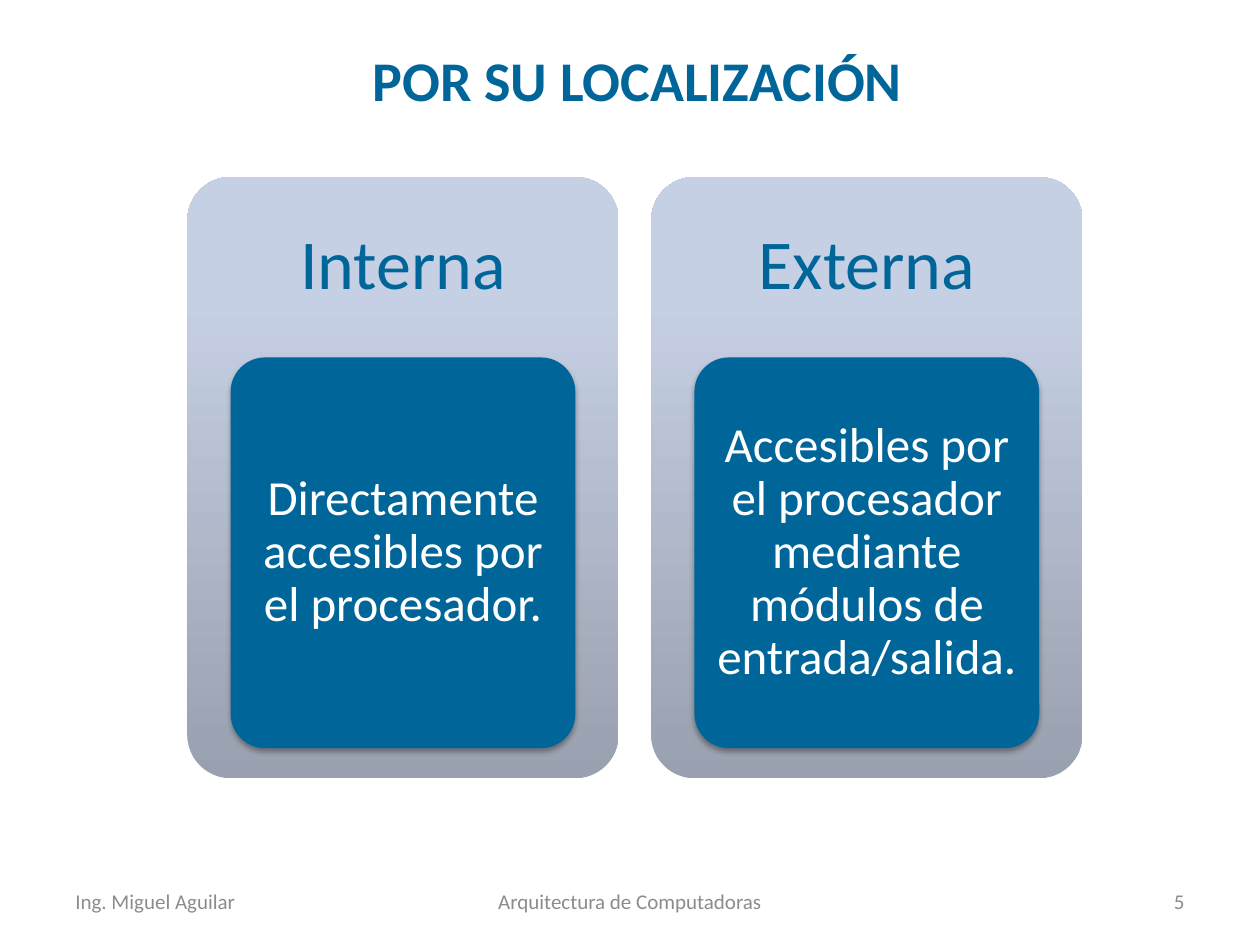
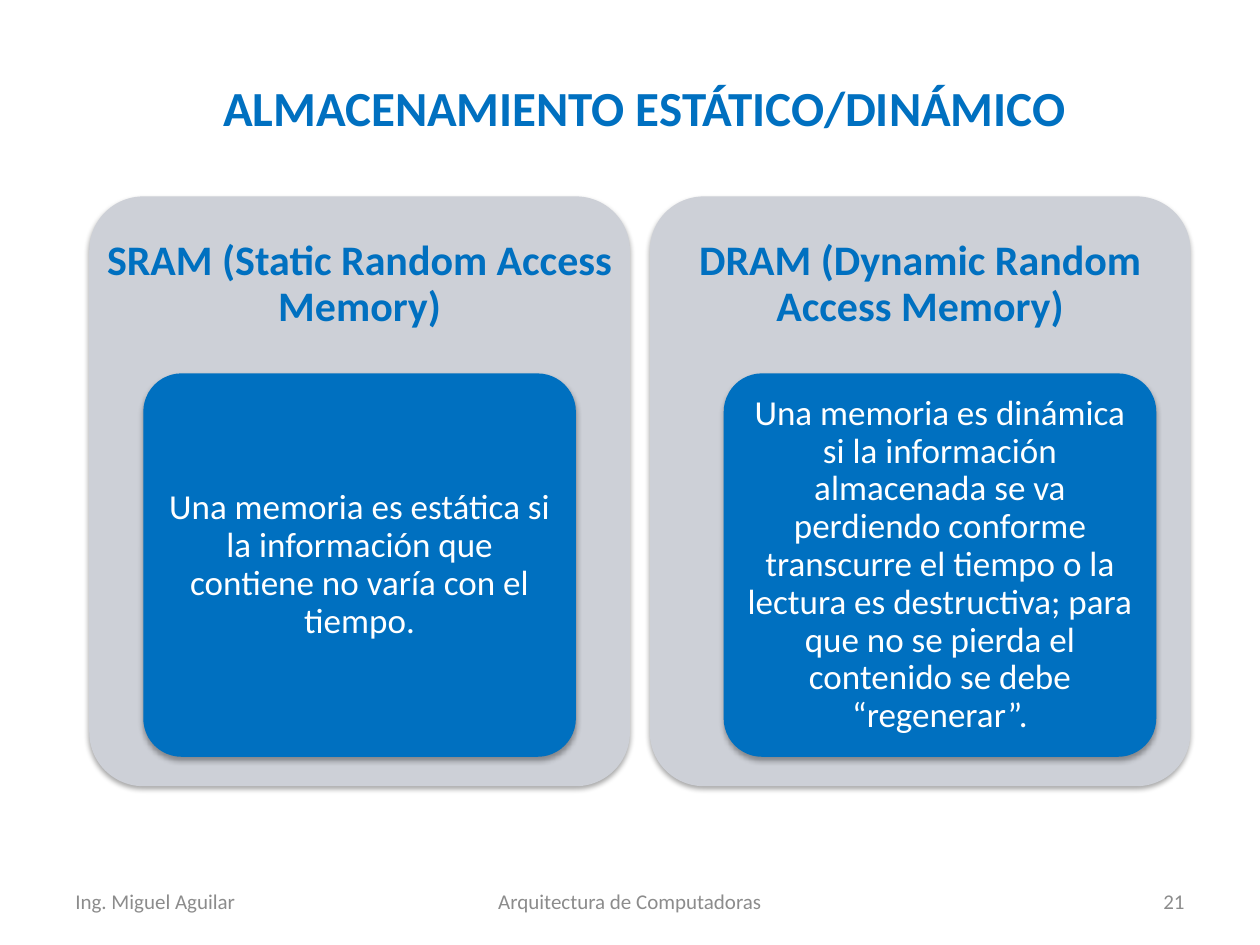
from copy import deepcopy
from dataclasses import dataclass

from lxml.etree import SubElement
from pptx import Presentation
from pptx.dml.color import RGBColor
from pptx.enum.shapes import MSO_SHAPE
from pptx.enum.text import MSO_ANCHOR, PP_ALIGN
from pptx.oxml.ns import qn
from pptx.util import Cm, Pt


@dataclass(frozen=True)
class Theme:
    font: str = "Calibri"
    teal: str = "006699"
    blue: str = "0070C0"
    white: str = "FFFFFF"
    footer: str = "8C8C8C"
    panel: str = "CDD0D7"
    panel_stops: tuple = ((0, "99A0AF"), (0.8, "C6D0E4"), (1, "C7D1E5"))
    footer_size: int = 12


THEME = Theme()
AUTHOR = "Ing. Miguel Aguilar"
COURSE = "Arquitectura de Computadoras"

LOCATION = {
    "number": 5,
    "title": ("POR SU LOCALIZACIÓN", (7.26, 0.78, 11.28, 1.63), 32),
    "color": THEME.teal,
    "panel": THEME.panel_stops,
    "box": (3.78, 3.57, 8.69, 12.12),
    "step": 9.35,
    "head": {"size": 40, "bold": False, "inset": 0.43},
    "body": {"size": 28, "inset": (0.2, 0.15)},
    "cards": [
        ("Interna", "Directamente accesibles por el procesador.", 0),
        ("Externa", "Accesibles por el procesador mediante módulos de entrada/salida.", 0),
    ],
}

STORAGE = {
    "number": 21,
    "title": ("ALMACENAMIENTO ESTÁTICO/DINÁMICO", (4.25, 1.44, 17.7, 1.45), 28),
    "color": THEME.blue,
    "panel": THEME.panel,
    "box": (1.8, 3.96, 10.9, 11.89),
    "step": 11.3,
    "head": {"size": 24, "bold": True, "inset": 0.25},
    "body": {"size": 20, "inset": (0.15, 0.1)},
    "cards": [
        (
            "SRAM (Static Random Access Memory)",
            "Una memoria es estática si la información que contiene no varía con el tiempo.",
            0,
        ),
        (
            "DRAM (Dynamic Random Access Memory)",
            "Una memoria es dinámica si la información almacenada se va perdiendo "
            "conforme transcurre el tiempo o la lectura es destructiva; para que no se "
            "pierda el contenido se debe “regenerar”.",
            0.4,
        ),
    ],
}


def apply(target, values):
    for name, value in values.items():
        setattr(target, name, value)


def write(sp, text, size, color, bold=False, align=PP_ALIGN.CENTER,
          spacing=None, inset=(0.25, 0.13), wrap=True, anchor=MSO_ANCHOR.MIDDLE):
    tf = sp.text_frame
    x, y = (Cm(v) for v in inset)
    apply(tf, {"word_wrap": wrap, "vertical_anchor": anchor,
               "margin_left": x, "margin_right": x,
               "margin_top": y, "margin_bottom": y})
    p = tf.paragraphs[0]
    apply(p, {"alignment": align, "line_spacing": spacing})
    r = p.add_run()
    r.text = text
    apply(r.font, {"name": THEME.font, "size": Pt(size), "bold": bold})
    r.font.color.rgb = RGBColor.from_string(color)


def add_text(s, box, text, size, color, **fmt):
    sp = s.shapes.add_textbox(*(Cm(v) for v in box))
    write(sp, text, size, color, **fmt)


def fill_gradient(sp, stops):
    sp.fill.gradient()
    sp.fill.gradient_angle = 90
    gs = sp._element.spPr.find(".//" + qn("a:gs"))
    for _ in range(len(stops) - len(sp.fill.gradient_stops)):
        gs.addnext(deepcopy(gs))
    for stop, (position, color) in zip(sp.fill.gradient_stops, stops):
        stop.position = position
        stop.color.rgb = RGBColor.from_string(color)


def add_shadow(sp):
    effects = sp._element.spPr.find(qn("a:effectLst"))
    shadow = SubElement(effects, qn("a:outerShdw"), blurRad=str(Pt(3.1)),
                        dist=str(Pt(1.8)), dir="5400000", rotWithShape="0")
    color = SubElement(shadow, qn("a:srgbClr"), val="000000")
    SubElement(color, qn("a:alpha"), val="35000")


def add_rounded(s, box, fill):
    sp = s.shapes.add_shape(MSO_SHAPE.ROUNDED_RECTANGLE, *(Cm(v) for v in box))
    sp.adjustments[0] = 0.1
    sp.line.fill.background()
    sp.shadow.inherit = False
    if isinstance(fill, tuple):
        fill_gradient(sp, fill)
    else:
        sp.fill.solid()
        sp.fill.fore_color.rgb = RGBColor.from_string(fill)
        add_shadow(sp)
    return sp


def add_card(s, topic, index):
    heading, body, shift = topic["cards"][index]
    left, top, width, height = topic["box"]
    left += index * topic["step"]
    head_fmt, body_fmt = topic["head"], topic["body"]
    add_rounded(s, (left, top, width, height), topic["panel"])
    add_text(s, (left, top, width, 0.3 * height), heading, head_fmt["size"],
             topic["color"], bold=head_fmt["bold"], spacing=0.9,
             inset=(head_fmt["inset"],) * 2)
    inner = (left + 0.1 * width + shift, top + 0.3 * height, 0.8 * width, 0.65 * height)
    sp = add_rounded(s, inner, topic["color"])
    write(sp, body, body_fmt["size"], THEME.white, spacing=0.9, inset=body_fmt["inset"])


def add_footer(s, number):
    for left, width, text, align in (
        (1.27, 5.93, AUTHOR, PP_ALIGN.LEFT),
        (8.68, 8.04, COURSE, PP_ALIGN.CENTER),
        (18.2, 5.93, str(number), PP_ALIGN.RIGHT),
    ):
        add_text(s, (left, 17.65, width, 1.02), text, THEME.footer_size,
                 THEME.footer, align=align)


def add_topic(prs, topic):
    s = prs.slides.add_slide(prs.slide_layouts[6])
    add_footer(s, topic["number"])
    for index in range(len(topic["cards"])):
        add_card(s, topic, index)
    text, box, size = topic["title"]
    add_text(s, box, text, size, topic["color"], bold=True, align=PP_ALIGN.LEFT,
             wrap=False, anchor=MSO_ANCHOR.TOP)


def main():
    prs = Presentation()
    apply(prs, {"slide_width": Cm(25.4), "slide_height": Cm(19.05)})
    for topic in (LOCATION, STORAGE):
        add_topic(prs, topic)
    prs.save("out.pptx")


if __name__ == "__main__":
    main()
